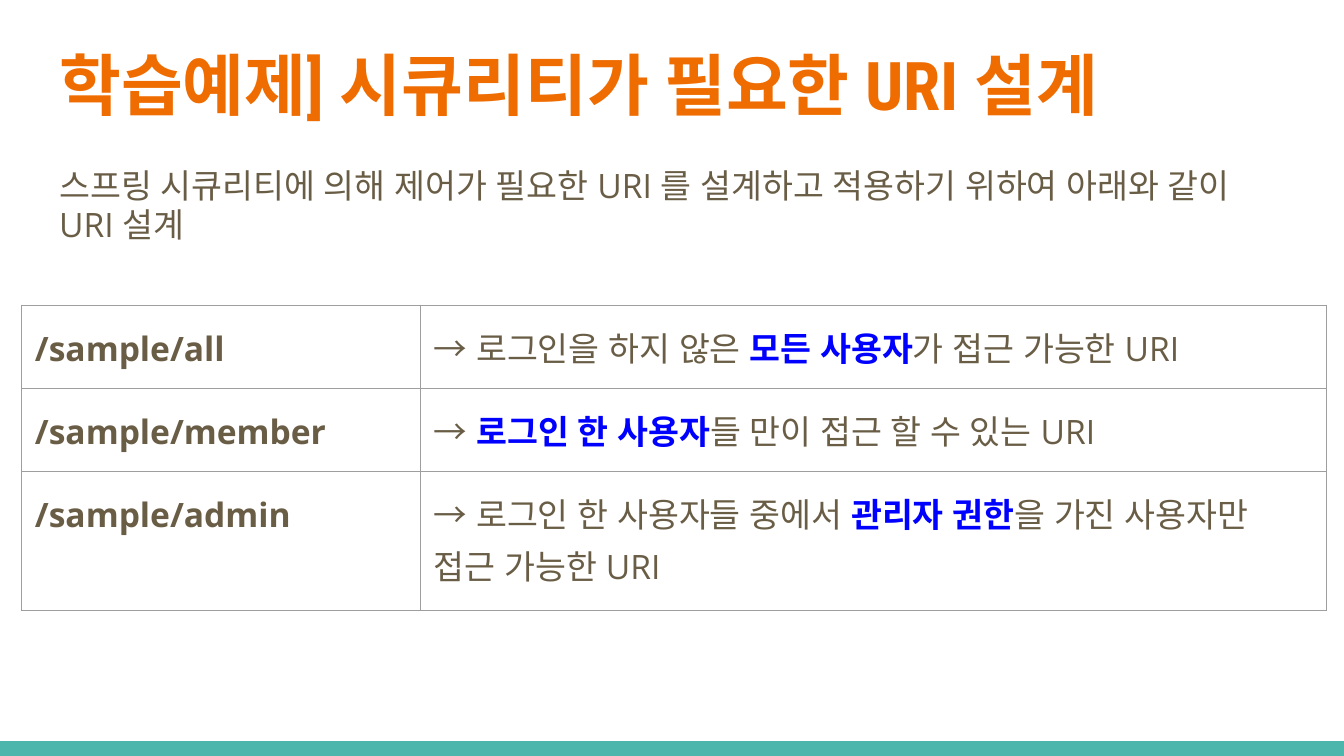
from lxml import etree
from pptx import Presentation
from pptx.dml.color import RGBColor
from pptx.enum.shapes import MSO_SHAPE
from pptx.enum.text import MSO_ANCHOR
from pptx.oxml.ns import qn
from pptx.util import Cm, Pt

ORANGE = RGBColor(0xEF, 0x6C, 0x00)
BROWN = RGBColor(0x69, 0x5D, 0x46)
BLUE = RGBColor(0x00, 0x00, 0xFF)
TEAL = RGBColor(0x4D, 0xB6, 0xAC)
GREY = "9E9E9E"

TITLE = "학습예제] 시큐리티가 필요한 URI 설계"
INTRO = "스프링 시큐리티에 의해 제어가 필요한 URI 를 설계하고 적용하기 위하여 아래와 같이 URI 설계"
# path, text before the highlight, highlight, text after it
RULES = [
    ("/sample/all", "→ 로그인을 하지 않은 ", "모든 사용자", "가 접근 가능한 URI"),
    ("/sample/member", "→ ", "로그인 한 사용자", "들 만이 접근 할 수 있는 URI"),
    ("/sample/admin", "→ 로그인 한 사용자들 중에서 ", "관리자 권한", "을 가진 사용자만 접근 가능한 URI"),
]
COLUMN_WIDTHS = [Cm(7.54), Cm(17.12)]
ROW_HEIGHTS = [Cm(1.57), Cm(1.57), Cm(2.63)]
PAD = Cm(0.25)


def add_run(p, text, size=18, color=BROWN, bold=False, font="Open Sans"):
    r = p.add_run()
    r.text = text
    r.font.size, r.font.bold, r.font.name = Pt(size), bold, font
    r.font.color.rgb = color
    etree.SubElement(r.font._element, qn("a:ea"), typeface=font)


def set_margins(box):
    box.margin_left = box.margin_right = box.margin_top = box.margin_bottom = PAD


def add_text_box(slide, top, height, anchor):
    tf = slide.shapes.add_textbox(Cm(0.87), top, Cm(23.67), height).text_frame
    tf.word_wrap = True
    tf.vertical_anchor = anchor
    set_margins(tf)
    return tf.paragraphs[0]


def style_cell(cell):
    """Clear the fill, set the padding and draw all four borders."""
    set_margins(cell)
    cell.fill.background()
    tc_pr = cell._tc.get_or_add_tcPr()
    for i, side in enumerate(("lnL", "lnR", "lnT", "lnB")):
        ln = etree.Element(qn(f"a:{side}"), w=str(Pt(0.75)))
        fill = etree.SubElement(ln, qn("a:solidFill"))
        etree.SubElement(fill, qn("a:srgbClr"), val=GREY)
        tc_pr.insert(i, ln)
    p = cell.text_frame.paragraphs[0]
    p.line_spacing = 1.15
    return p


def add_rules_table(slide):
    table = slide.shapes.add_table(
        len(RULES), len(COLUMN_WIDTHS), Cm(0.41), Cm(5.77),
        sum(COLUMN_WIDTHS), sum(ROW_HEIGHTS)).table
    table.first_row = table.horz_banding = False
    for column, width in zip(table.columns, COLUMN_WIDTHS):
        column.width = width
    for row, height, (uri, before, highlight, after) in zip(table.rows, ROW_HEIGHTS, RULES):
        row.height = height
        uri_p, access_p = [style_cell(cell) for cell in row.cells]
        add_run(uri_p, uri, bold=True)
        add_run(access_p, before)
        add_run(access_p, highlight, color=BLUE, bold=True)
        add_run(access_p, after)


def main():
    prs = Presentation()
    prs.slide_width, prs.slide_height = Cm(25.4), Cm(14.29)
    slide = prs.slides.add_slide(prs.slide_layouts[6])

    bar_height = Cm(0.28)
    bar = slide.shapes.add_shape(MSO_SHAPE.RECTANGLE, 0, prs.slide_height - bar_height,
                                 prs.slide_width, bar_height)
    bar.shadow.inherit = False
    bar.fill.solid()
    bar.fill.fore_color.rgb = TEAL
    bar.line.fill.background()

    title = add_text_box(slide, Cm(0.61), Cm(1.96), MSO_ANCHOR.MIDDLE)
    add_run(title, TITLE, 36, ORANGE, True, "Roboto Condensed")
    intro = add_text_box(slide, Cm(2.93), Cm(2.8), MSO_ANCHOR.TOP)
    intro.line_spacing = 0.95
    add_run(intro, INTRO)

    add_rules_table(slide)
    prs.save("out.pptx")


if __name__ == "__main__":
    main()
